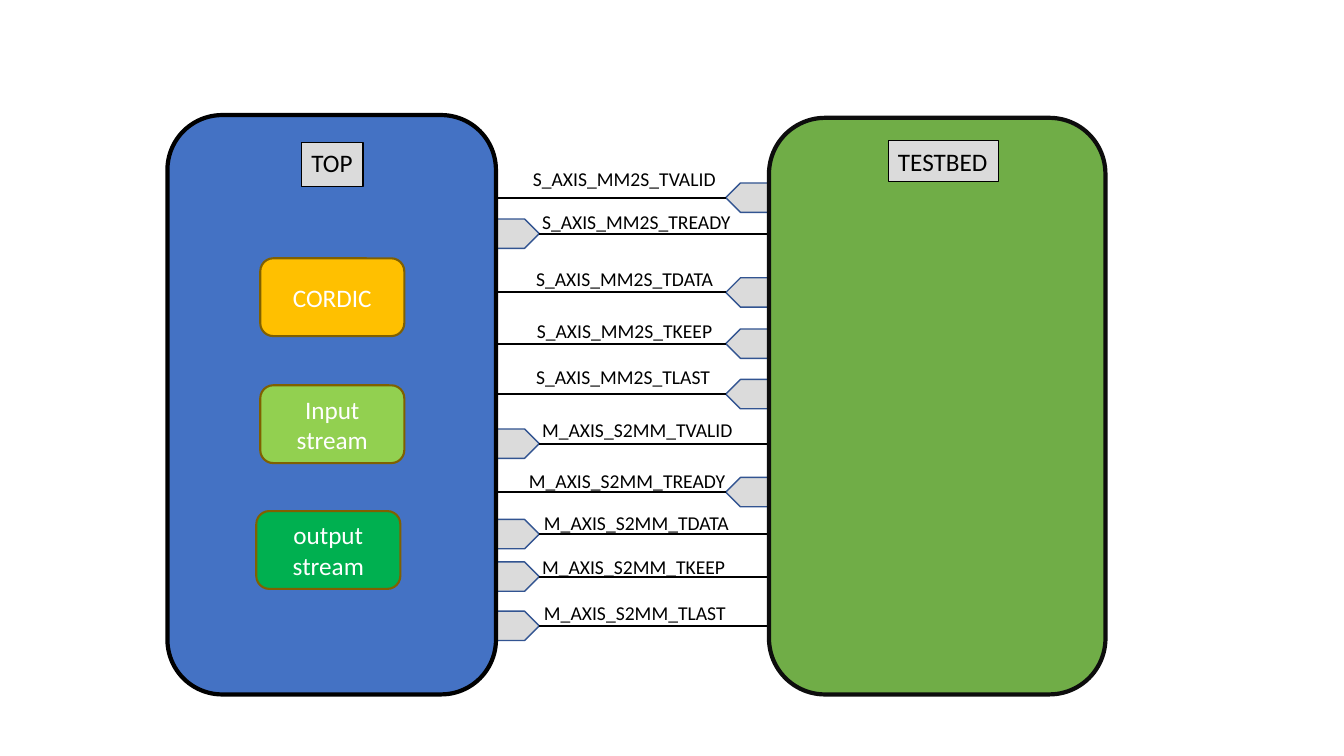
from lxml import etree
from pptx import Presentation
from pptx.dml.color import RGBColor
from pptx.enum.shapes import MSO_CONNECTOR, MSO_SHAPE
from pptx.enum.text import MSO_ANCHOR as ANCHOR, PP_ALIGN as ALIGN
from pptx.oxml.ns import qn
from pptx.util import Cm, Pt

BLACK = RGBColor(0x00, 0x00, 0x00)
NEAR_BLACK = RGBColor(0x0D, 0x0D, 0x0D)
WHITE = RGBColor(0xFF, 0xFF, 0xFF)
GRAY = RGBColor(0xDB, 0xDB, 0xDB)
BLUE = RGBColor(0x44, 0x72, 0xC4)
NAVY = RGBColor(0x32, 0x54, 0x91)
GREEN = RGBColor(0x70, 0xAD, 0x47)
AMBER = RGBColor(0xFF, 0xC0, 0x00)
LIME = RGBColor(0x92, 0xD0, 0x50)
EMERALD = RGBColor(0x00, 0xB0, 0x50)
BROWN = RGBColor(0x80, 0x60, 0x00)

# Boxes in cm: left, top, width, height
TOP_BOX = (4.22, 2.9, 8.28, 14.6)
TESTBED_BOX = (19.38, 2.97, 8.48, 14.53)
BUS_BOX = (12.5, 2.9, 6.88, 14.6)
PORT_W, PORT_H = 1.07, 0.74
MODULE_W, MODULE_H = 3.63, 1.96

# Name, driven by TOP, line y, label x, label y, label width (cm, within the bus)
SIGNALS = [
    ("S_AXIS_MM2S_TVALID", False, 2.08, 0.68, 1.19, 5.41),
    ("S_AXIS_MM2S_TREADY", True, 2.99, 0.91, 2.26, 5.31),
    ("S_AXIS_MM2S_TDATA", False, 4.47, 0.76, 3.7, 5.0),
    ("S_AXIS_MM2S_TKEEP", False, 5.76, 0.78, 5.02, 4.98),
    ("S_AXIS_MM2S_TLAST", False, 7.03, 0.76, 6.17, 4.93),
    ("M_AXIS_S2MM_TVALID", True, 8.28, 0.91, 7.51, 5.36),
    ("M_AXIS_S2MM_TREADY", False, 9.5, 0.58, 8.78, 5.51),
    ("M_AXIS_S2MM_TDATA", True, 10.56, 0.96, 9.85, 5.21),
    ("M_AXIS_S2MM_TKEEP", True, 11.63, 0.91, 10.97, 5.18),
    ("M_AXIS_S2MM_TLAST", True, 12.87, 0.96, 12.11, 5.13),
]

# Name, fill, x, y (cm, within TOP)
MODULES = [
    ("CORDIC", AMBER, 2.34, 3.61),
    ("Input stream", LIME, 2.34, 6.81),
    ("output stream", EMERALD, 2.24, 9.98),
]


def add_box(s, kind, box, fill, line, weight):
    sp = s.shapes.add_shape(kind, *map(Cm, box))
    sp.shadow.inherit = False
    sp.fill.solid()
    sp.fill.fore_color.rgb = fill
    sp.line.color.rgb = line
    sp.line.width = Pt(weight)
    return sp


def write(sp, text, size, color, align=ALIGN.LEFT, anchor=ANCHOR.TOP, wrap=False):
    tf = sp.text_frame
    tf.word_wrap = wrap
    tf.vertical_anchor = anchor
    p = tf.paragraphs[0]
    p.alignment = align
    r = p.add_run()
    r.text = text
    r.font.size = Pt(size)
    r.font.name = "Calibri"
    r.font.color.rgb = color


def add_wire(s, x1, x2, y):
    wire = s.shapes.add_connector(MSO_CONNECTOR.STRAIGHT, Cm(x1), Cm(y), Cm(x2), Cm(y))
    wire.line.color.rgb = BLACK
    wire.line.width = Pt(1.5)
    etree.SubElement(wire._element.spPr, qn("a:effectLst"))


def add_bus(s, box):
    left, top, width, _ = box
    right = left + width
    for name, from_top, y, label_x, label_y, label_w in SIGNALS:
        # Port on the driving side, pointing along its wire
        port_x = left + 0.02 if from_top else right - 0.02 - PORT_W
        port = add_box(s, MSO_SHAPE.PENTAGON,
                       (port_x, top + y - PORT_H / 2, PORT_W, PORT_H), GRAY, NAVY, 1)
        if from_top:
            add_wire(s, right, port_x + PORT_W, top + y)
        else:
            port.rotation = 180
            add_wire(s, port_x, left, top + y)
        # Signal name
        label = s.shapes.add_textbox(Cm(left + label_x), Cm(top + label_y),
                                     Cm(label_w), Cm(0.86))
        write(label, name, 14, BLACK)


def add_panel(s, box, fill, line, title, title_box):
    left, top = box[:2]
    add_box(s, MSO_SHAPE.ROUNDED_RECTANGLE, box, fill, line, 3)
    x, y, w, h = title_box
    tag = add_box(s, MSO_SHAPE.RECTANGLE, (left + x, top + y, w, h), GRAY, BLACK, 0.75)
    write(tag, title, 18, BLACK)


def add_modules(s, box):
    left, top = box[:2]
    for name, fill, x, y in MODULES:
        sp = add_box(s, MSO_SHAPE.ROUNDED_RECTANGLE,
                     (left + x, top + y, MODULE_W, MODULE_H), fill, BROWN, 1.5)
        write(sp, name, 18, WHITE, ALIGN.CENTER, ANCHOR.MIDDLE, True)


def main():
    prs = Presentation()
    prs.slide_width, prs.slide_height = Cm(33.87), Cm(19.05)
    s = prs.slides.add_slide(prs.slide_layouts[6])
    add_bus(s, BUS_BOX)
    add_panel(s, TESTBED_BOX, GREEN, NEAR_BLACK, "TESTBED", (3.0, 0.58, 2.79, 1.02))
    add_panel(s, TOP_BOX, BLUE, BLACK, "TOP", (3.38, 0.69, 1.55, 1.12))
    add_modules(s, TOP_BOX)
    prs.save("out.pptx")


if __name__ == "__main__":
    main()
